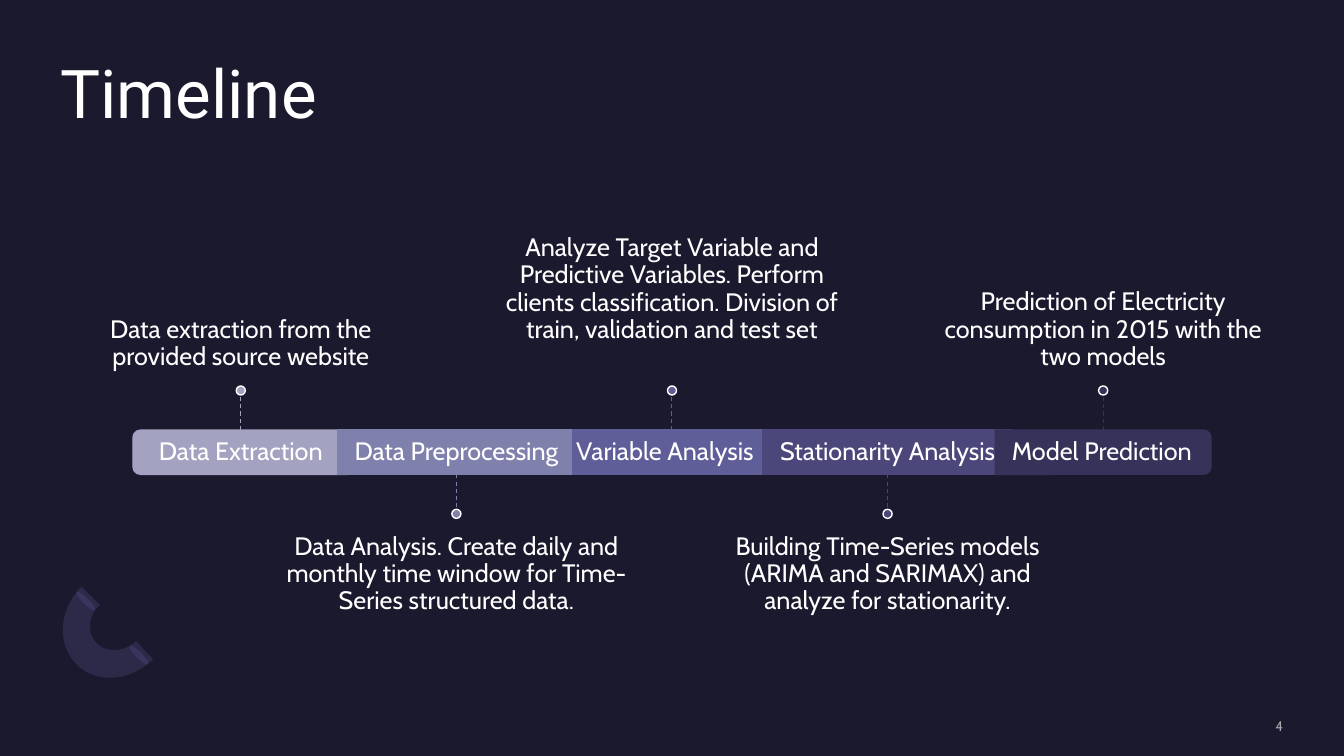
from lxml import etree
from pptx import Presentation
from pptx.dml.color import RGBColor
from pptx.enum.dml import MSO_LINE
from pptx.enum.shapes import MSO_CONNECTOR, MSO_SHAPE
from pptx.enum.text import MSO_ANCHOR, MSO_AUTO_SIZE, PP_ALIGN
from pptx.oxml.ns import qn
from pptx.util import Pt

RECT, OVAL = MSO_SHAPE.RECTANGLE, MSO_SHAPE.OVAL
ROUND_END = MSO_SHAPE.ROUND_2_SAME_RECTANGLE
STRAIGHT, DASH = MSO_CONNECTOR.STRAIGHT, MSO_LINE.DASH
TOP, MIDDLE, BOTTOM = MSO_ANCHOR.TOP, MSO_ANCHOR.MIDDLE, MSO_ANCHOR.BOTTOM
LEFT, CENTER, RIGHT = PP_ALIGN.LEFT, PP_ALIGN.CENTER, PP_ALIGN.RIGHT

NIGHT = RGBColor(0x1B, 0x19, 0x2E)
WHITE = RGBColor(0xFF, 0xFF, 0xFF)
GREY = RGBColor(0xA5, 0xA5, 0xA5)
RING = RGBColor(0x74, 0x6E, 0xB3)
RING_CAP = RGBColor(0x2B, 0x27, 0x4A)

# label, description, colour, bar width, label shift, rotation, gap to the dot
STEPS = [
    ("Data Extraction", "Data extraction from the provided source website",
     RGBColor(0xA3, 0xA3, 0xC1), 154, 0, 270, 10.8),
    ("Data Preprocessing",
     "Data Analysis. Create daily and monthly time window for Time-Series structured data.",
     RGBColor(0x80, 0x80, 0xAC), 170, 0, 0, 10.8),
    ("Variable Analysis",
     "Analyze Target Variable and Predictive Variables. Perform clients classification. "
     "Division of train, validation and test set",
     RGBColor(0x60, 0x5E, 0x99), 142, -5, 0, 30.2),
    ("Stationarity Analysis",
     "Building Time-Series models (ARIMA and SARIMAX) and analyze for stationarity.",
     RGBColor(0x4B, 0x47, 0x7A), 178, 0, 0, 10.8),
    ("Model Prediction",
     "Prediction of Electricity consumption in 2015 with the two models",
     RGBColor(0x36, 0x32, 0x5A), 154, -1, 90, 10.8),
]
FIRST_CENTRE, STEP_GAP = 172, 154
BAR_TOP, BAR_HEIGHT = 307.2, 31.6
STEM, DOT = 25, 6.5
NOTE_WIDTH, NOTE_HEIGHT = 257, 109.4

RING_CAPS = [(97.2, 458.6), (59, 419.8)]
RING_START = (54.7, 474.5)
# Three points make a Bezier curve, one point a straight edge
RING_EDGES = [
    [(40.3, 460.1), (41.8, 435.6), (58.3, 419)],
    [(71.3, 432)],
    [(62.6, 439.9), (61.9, 452.9), (69.1, 459.4)],
    [(76.3, 466.6), (88.6, 465.8), (97.2, 457.9)],
    [(109.4, 470.9)],
    [(93.6, 486.7), (68.4, 488.9), (54.7, 474.5)],
]
CURVE_PARTS = 14

deck = Presentation()
deck.slide_width, deck.slide_height = Pt(960), Pt(540)
page = deck.slides.add_slide(deck.slide_layouts[5])
page.background.fill.solid()
page.background.fill.fore_color.rgb = NIGHT
shapes = page.shapes


def write(box, text, size, font="Cabin", color=WHITE, align=CENTER,
          anchor=MIDDLE, wrap=True, inset_top=0, inset_bottom=0, spacing=0.9):
    frame = box.text_frame
    frame.word_wrap, frame.auto_size = wrap, MSO_AUTO_SIZE.NONE
    frame.vertical_anchor = anchor
    frame.margin_left = frame.margin_right = 0
    frame.margin_top, frame.margin_bottom = Pt(inset_top), Pt(inset_bottom)
    para = frame.paragraphs[0]
    para.alignment, para.line_spacing = align, spacing
    span = para.add_run()
    span.text = text
    span.font.name, span.font.size = font, Pt(size)
    span.font.color.rgb = color


def add_text(left, top, width, height, text, size, **style):
    box = shapes.add_textbox(Pt(left), Pt(top), Pt(width), Pt(height))
    write(box, text, size, **style)


def paint(shape, fill, line=None):
    shape.shadow.inherit = False
    shape.fill.solid()
    shape.fill.fore_color.rgb = fill
    if line is None:
        shape.line.fill.background()
    else:
        shape.line.color.rgb, shape.line.width = line, Pt(1)


def add_shape(kind, left, top, width, height, fill, line=None):
    shape = shapes.add_shape(kind, Pt(left), Pt(top), Pt(width), Pt(height))
    paint(shape, fill, line)
    return shape


def curve_points(start, controls):
    """Points along a cubic Bezier curve, without its start."""
    points = []
    for part in range(1, CURVE_PARTS + 1):
        t = part / CURVE_PARTS
        weights = ((1 - t) ** 3, 3 * t * (1 - t) ** 2, 3 * t * t * (1 - t), t ** 3)
        points.append(tuple(sum(weight * point[axis] for weight, point
                                in zip(weights, [start, *controls]))
                            for axis in (0, 1)))
    return points


def add_ring():
    for left, top in RING_CAPS:
        add_shape(OVAL, left, top, 4.3, 18.7, RING_CAP).rotation = 315
    points = [RING_START]
    for edge in RING_EDGES:
        points += curve_points(points[-1], edge) if len(edge) == 3 else edge
    builder = shapes.build_freeform(Pt(points[0][0]), Pt(points[0][1]), scale=1.0)
    builder.add_line_segments([(Pt(x), Pt(y)) for x, y in points[1:]], close=True)
    ring = builder.convert_to_shape()
    paint(ring, RING)
    color = ring._element.spPr.find(qn("a:solidFill"))[0]
    etree.SubElement(color, qn("a:alpha")).set("val", "20000")


def add_bar(centre, width, color, rotation):
    middle = BAR_TOP + BAR_HEIGHT / 2
    if not rotation:
        return add_shape(RECT, centre - width / 2, BAR_TOP, width, BAR_HEIGHT, color, color)
    bar = add_shape(ROUND_END, centre - BAR_HEIGHT / 2, middle - width / 2,
                    BAR_HEIGHT, width, color, color)
    bar.adjustments[0], bar.adjustments[1] = 0.167, 0
    bar.rotation = rotation
    return bar


def add_stem(centre, near, far, color, bar, side):
    stem = shapes.add_connector(STRAIGHT, Pt(centre), Pt(near), Pt(centre), Pt(far))
    if not bar.rotation:
        stem.begin_connect(bar, side)
    stem.line.color.rgb, stem.line.width = color, Pt(0.75)
    stem.line.dash_style = DASH
    etree.SubElement(stem._element.spPr, qn("a:effectLst"))


def add_step(index, label, note, color, width, shift, rotation, gap):
    centre = FIRST_CENTRE + index * STEP_GAP
    bar = add_bar(centre, width, color, rotation)
    add_text(centre + shift - width / 2, BAR_TOP, width, BAR_HEIGHT, label, 18, wrap=False)
    note_left = centre - NOTE_WIDTH / 2
    if index % 2 == 0:
        near, far, side = BAR_TOP, BAR_TOP - STEM, 0
        dot_top = far - DOT
        add_text(note_left, dot_top - NOTE_HEIGHT, NOTE_WIDTH, NOTE_HEIGHT, note, 18,
                 anchor=BOTTOM, inset_bottom=gap)
    else:
        near = BAR_TOP + BAR_HEIGHT
        far, side = near + STEM, 2
        dot_top = far
        add_text(note_left, dot_top + DOT, NOTE_WIDTH, NOTE_HEIGHT, note, 18,
                 anchor=TOP, inset_top=gap)
    add_stem(centre, near, far, color, bar, side)
    add_shape(OVAL, centre - DOT / 2, dot_top, DOT, DOT, color, WHITE)


add_ring()
title = shapes.title
title.left, title.top, title.width, title.height = Pt(43.2), Pt(43.2), Pt(873.6), Pt(105)
write(title, "Timeline", 48, font="Roboto", align=LEFT, anchor=TOP)
for index, step in enumerate(STEPS):
    add_step(index, *step)
add_text(783.4, 512.6, 133.2, 12.2, "4", 10, color=GREY, align=RIGHT, spacing=1.0)

deck.save("out.pptx")
